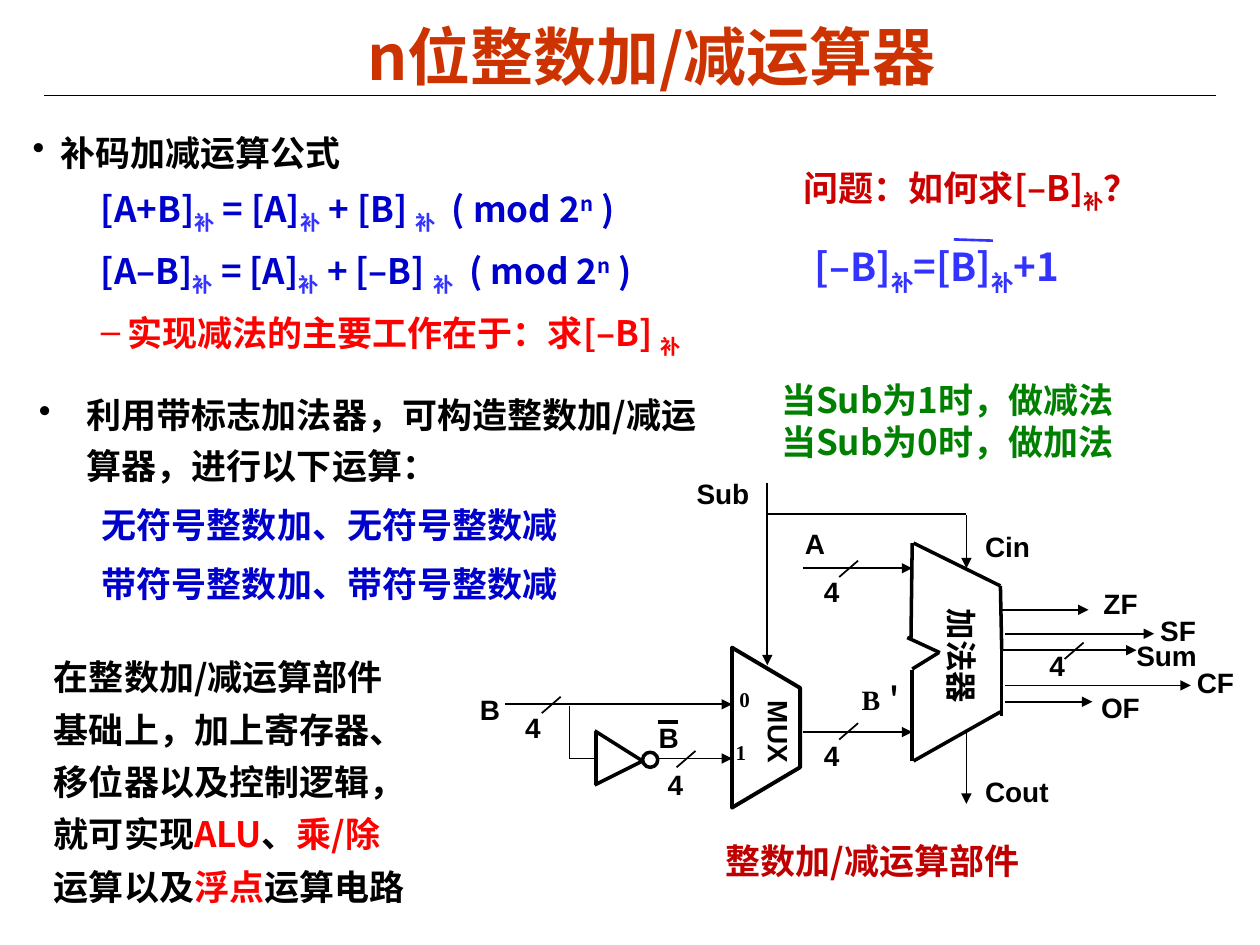
from dataclasses import dataclass

from lxml import etree
from pptx import Presentation
from pptx.dml.color import RGBColor
from pptx.enum import shapes, text
from pptx.oxml.ns import qn
from pptx.util import Inches, Pt

SANS, LATIN, SERIF = "Noto Sans CJK SC", "Arial", "Times New Roman"
BLACK, BLUE, VIOLET, RED = "000000", "0000CC", "3333FF", "FF0000"


@dataclass
class Run:
    text: str
    color: str = BLACK
    baseline: int = 0


@dataclass
class Paragraph:
    runs: list[Run]
    level: int = 0
    margin: float = 0
    indent: float = 0
    bullet: str = ""
    spacing: float = 1
    before: float = 0
    align: text.PP_ALIGN = text.PP_ALIGN.LEFT


@dataclass
class Box:
    left: float
    top: float
    width: float
    height: float
    paragraphs: list[Paragraph]
    size: float = 20
    font: str = SANS
    wrap: bool = True
    rotation: float = 0
    grow: bool = True
    anchor: text.MSO_ANCHOR = text.MSO_ANCHOR.TOP
    insets: tuple[float, float] = (0.1, 0.05)


@dataclass
class Line:
    x1: float
    y1: float
    x2: float
    y2: float
    width: float = 1
    arrow: bool = False
    color: str = BLACK


def rgb(value: str) -> RGBColor:
    return RGBColor.from_string(value)


def write_paragraph(paragraph, content: Paragraph, size: float, font: str) -> None:
    properties = paragraph._p.get_or_add_pPr()
    properties.set("marL", str(Inches(content.margin)))
    properties.set("indent", str(Inches(content.indent)))
    if content.bullet:
        etree.SubElement(properties, qn("a:buChar")).set("char", content.bullet)
    paragraph.level = content.level
    paragraph.alignment = content.align
    paragraph.line_spacing = content.spacing
    paragraph.space_before = Pt(content.before)
    for item in content.runs:
        run = paragraph.add_run()
        run.text = item.text
        run.font.size, run.font.bold, run.font.name = Pt(size), True, font
        run.font.color.rgb = rgb(item.color)
        run_properties = run.font._element
        if font == SANS:
            etree.SubElement(run_properties, qn("a:ea")).set("typeface", font)
        if item.baseline:
            run_properties.set("baseline", str(item.baseline * 1000))


def draw_box(target, box: Box) -> None:
    shape = target.add_textbox(Inches(box.left), Inches(box.top), Inches(box.width), Inches(box.height))
    shape.rotation = box.rotation
    frame = shape.text_frame
    frame.word_wrap = box.wrap
    frame.vertical_anchor = box.anchor
    frame.auto_size = text.MSO_AUTO_SIZE.SHAPE_TO_FIT_TEXT if box.grow else text.MSO_AUTO_SIZE.NONE
    frame.margin_left = frame.margin_right = Inches(box.insets[0])
    frame.margin_top = frame.margin_bottom = Inches(box.insets[1])
    for index, content in enumerate(box.paragraphs):
        paragraph = frame.add_paragraph() if index else frame.paragraphs[0]
        write_paragraph(paragraph, content, box.size, box.font)


def draw_line(target, line: Line) -> None:
    connector = target.add_connector(
        shapes.MSO_CONNECTOR.STRAIGHT,
        Inches(line.x1), Inches(line.y1), Inches(line.x2), Inches(line.y2))
    connector.line.width = Pt(line.width)
    connector.line.color.rgb = rgb(line.color)
    if line.arrow:
        etree.SubElement(connector.line._get_or_add_ln(), qn("a:tailEnd")).set("type", "triangle")
    etree.SubElement(connector._element.spPr, qn("a:effectLst"))


def outline(shape, width: float) -> None:
    shape.shadow.inherit = False
    shape.fill.background()
    shape.line.color.rgb = rgb(BLACK)
    shape.line.width = Pt(width)


def plain(words: str, color: str = BLACK, **options) -> Paragraph:
    return Paragraph([Run(words, color)], **options)


def sum_formula(left: str, right: str) -> Paragraph:
    """A two's complement formula, modulo 2 to the n."""
    return Paragraph(
        [Run(left, BLUE), Run("补", VIOLET, -25), Run(" = [A]", BLUE), Run("补", VIOLET, -25),
         Run(f" + {right} ", BLUE), Run("补", VIOLET, -25),
         Run("  ( mod 2", BLUE), Run("n", BLUE, 30), Run(" )", BLUE)], **FORMULA_STYLE)


FORMULA_STYLE = dict(level=1, margin=0.75, indent=-0.21, spacing=1.15, before=4)
OPERATION_STYLE = dict(level=1, margin=0.81, indent=-0.31, spacing=1.2, before=5)

TEXTS = [
    Box(1.16, 0.11, 8.02, 0.66, [plain("n位整数加/减运算器", "CC3300", align=text.PP_ALIGN.CENTER)],
        size=36, insets=(0.07, 0.03)),
    Box(0.21, 3.01, 5.43, 2.82, [
        plain("利用带标志加法器，可构造整数加/减运算器，进行以下运算：",
              margin=0.38, indent=-0.38, bullet="•", spacing=1.2),
        plain("无符号整数加、无符号整数减", BLUE, **OPERATION_STYLE),
        plain("带符号整数加、带符号整数减", BLUE, **OPERATION_STYLE)], grow=False),
    Box(6.1, 2.95, 3.12, 0.77, [plain("当Sub为1时，做减法", "008000"), plain("当Sub为0时，做加法", "008000")],
        anchor=text.MSO_ANCHOR.MIDDLE),
    Box(0.19, 0.96, 6.47, 1.79, [
        plain("补码加减运算公式", margin=0.22, indent=-0.22, bullet="•", spacing=1.15),
        sum_formula("[A+B]", "[B]"),
        sum_formula("[A–B]", "[–B]"),
        Paragraph([Run("实现减法的主要工作在于：求[–B] ", RED), Run("补", RED, -25)],
                  bullet="–", **FORMULA_STYLE)], insets=(0.07, 0.03)),
    Box(6.28, 1.27, 3.14, 0.43, [Paragraph(
        [Run("问题：如何求[–B]", "CC0000"), Run("补", "CC0000", -25), Run("？", "CC0000")])]),
    Box(0.33, 5.07, 3.06, 2.18, [Paragraph([
        Run("在整数加/减运算部件基础上，加上寄存器、移位器以及控制逻辑，就可实现"),
        Run("ALU", RED), Run("、"), Run("乘/除", RED), Run("运算以及"),
        Run("浮点", RED), Run("运算电路")], spacing=1.25)]),
]
NEGATION = Box(6.37, 1.88, 2.6, 0.47, [Paragraph([
    Run("[–B]", VIOLET), Run("补", VIOLET, -25), Run("=[B]", VIOLET),
    Run("补", VIOLET, -25), Run("+1", VIOLET)])], size=22)

# Signal name, left, top, width
SIGNALS = [
    ("Sum", 8.92, 5.02, 0.7), ("A", 6.29, 4.13, 0.36), ("ZF", 8.66, 4.61, 0.5),
    ("Cin", 7.72, 4.15, 0.6), ("Cout", 7.72, 6.1, 0.76), ("B", 3.71, 5.45, 0.36),
    ("Sub", 5.43, 3.73, 0.65), ("B", 5.13, 5.67, 0.36), ("OF", 8.64, 5.43, 0.54),
    ("SF", 9.11, 4.82, 0.59), ("CF", 9.4, 5.23, 0.6),
    ("4", 6.44, 4.51, 0.32), ("4", 6.44, 5.81, 0.32),
    ("4", 4.07, 5.59, 0.32), ("4", 5.2, 6.04, 0.32),
]
CIRCUIT_TEXTS = [Box(left, top, width, 0.36, [plain(name)], 16, LATIN, wrap=False)
                 for name, left, top, width in SIGNALS] + [
    Box(8.23, 5.16, 0.32, 0.3, [plain("4", spacing=0.75)], 16, LATIN, wrap=False),
    Box(7.1, 5.07, 1.07, 0.4, [plain("加法器")], 18, LATIN, rotation=90),
    Box(5.77, 5.69, 0.82, 0.37, [plain("MUX")], 16, LATIN, rotation=90),
    Box(5.77, 5.4, 0.28, 0.3, [plain("0")], 12, SERIF),
    Box(5.74, 5.82, 0.28, 0.3, [plain("1")], 12, SERIF),
    Box(6.74, 5.37, 0.68, 0.37, [plain("B＇")], 16, SERIF),
    Box(5.66, 6.61, 2.61, 0.43, [plain("整数加/减运算部件", "C00000")]),
]

ADDER = [(7.24, 4.31, 7.23, 5.07), (7.25, 4.31, 7.94, 4.65), (7.2, 5.06, 7.46, 5.18),
         (7.94, 4.65, 7.95, 5.15), (7.24, 6.04, 7.24, 5.32), (7.25, 6.04, 7.94, 5.65),
         (7.24, 5.31, 7.45, 5.18), (7.95, 5.68, 7.95, 5.15)]
INVERTER = [(5.1, 6.04, 4.72, 5.8), (5.1, 6.04, 4.72, 6.23), (4.73, 5.82, 4.73, 6.23)]
ARROWS = [(6.37, 4.51, 7.24, 4.51), (6.37, 5.81, 7.24, 5.81), (7.96, 5.16, 9.02, 5.16),
          (7.67, 4.09, 7.67, 4.51), (7.67, 5.82, 7.67, 6.38), (4.01, 5.59, 5.81, 5.59),
          (5.23, 6.02, 5.81, 6.02), (6.09, 3.83, 6.09, 5.28), (7.95, 4.84, 8.64, 4.84),
          (7.98, 5.57, 8.67, 5.57), (7.98, 5.03, 9.16, 5.03), (7.98, 5.44, 9.45, 5.44)]
WIRES = [(4.52, 5.6, 4.52, 6.02), (4.52, 6.02, 4.72, 6.02), (7.67, 4.08, 6.09, 4.08)]
BUS_MARKS = [(6.66, 5.74), (6.66, 4.45), (8.45, 5.1), (4.3, 5.53), (5.37, 5.96)]
MUX_CORNERS = [(5.81, 6.41), (6.35, 6.09), (6.35, 5.46), (5.81, 5.14)]
CIRCUIT_LINES = (
    [Line(*ends, width=2) for ends in ADDER + INVERTER]
    + [Line(*ends, arrow=True) for ends in ARROWS]
    + [Line(*ends) for ends in WIRES]
    + [Line(left + 0.15, top, left, top + 0.13) for left, top in BUS_MARKS]
    + [Line(5.22, 5.73, 5.38, 5.73, width=2.25)])


def draw_circuit(target) -> None:
    for line in CIRCUIT_LINES:
        draw_line(target, line)
    bubble = target.add_shape(shapes.MSO_SHAPE.OVAL, Inches(5.1), Inches(5.97), Inches(0.12), Inches(0.12))
    outline(bubble, 2)
    corners = [(Inches(x), Inches(y)) for x, y in MUX_CORNERS]
    builder = target.build_freeform(*corners[0])
    builder.add_line_segments(corners[1:], close=True)
    outline(builder.convert_to_shape(), 2.25)
    for box in CIRCUIT_TEXTS:
        draw_box(target, box)


def main() -> None:
    presentation = Presentation()
    presentation.slide_width, presentation.slide_height = Inches(10), Inches(7.5)
    slide = presentation.slides.add_slide(presentation.slide_layouts[6])
    draw_line(slide.shapes, Line(0.35, 0.76, 9.65, 0.76, width=0.75))
    for box in TEXTS:
        draw_box(slide.shapes, box)
    negation = slide.shapes.add_group_shape().shapes
    draw_box(negation, NEGATION)
    draw_line(negation, Line(7.57, 1.9, 7.88, 1.91, width=1.5, color=VIOLET))
    draw_circuit(slide.shapes.add_group_shape().shapes)
    presentation.save("out.pptx")


if __name__ == "__main__":
    main()
